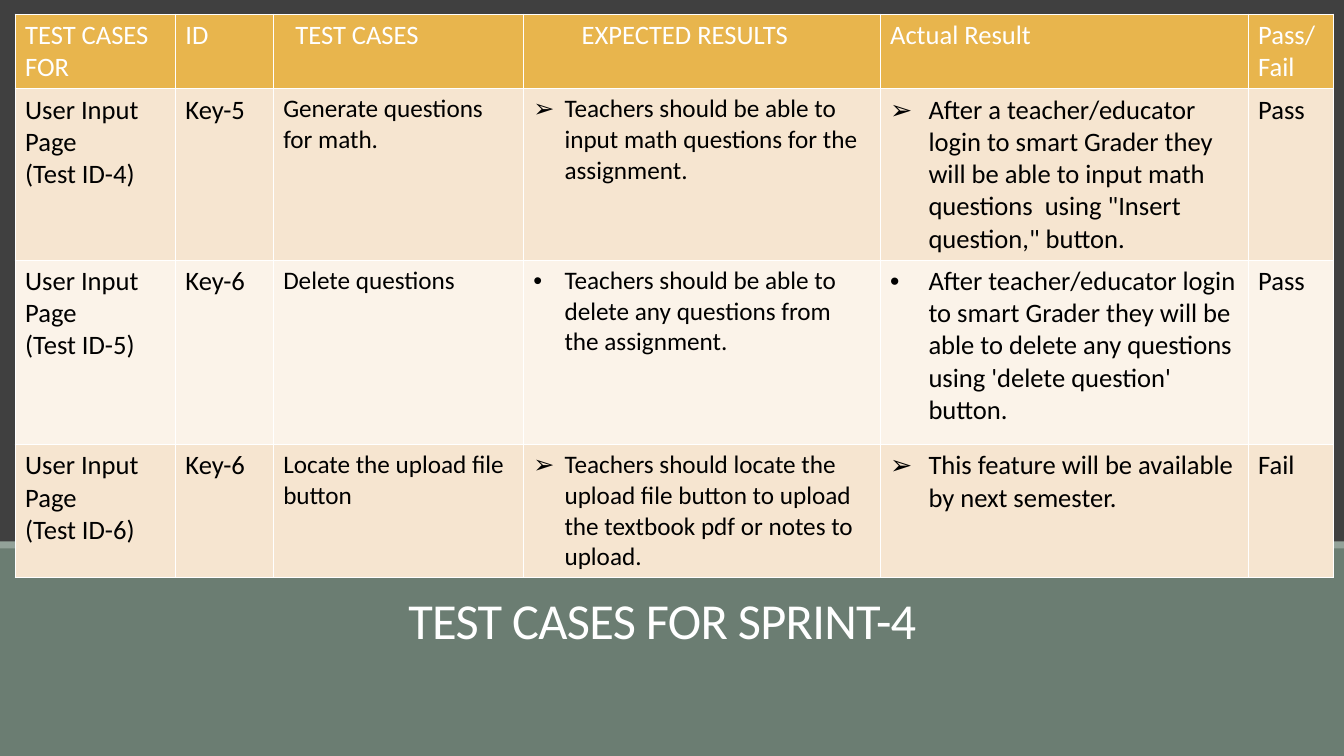
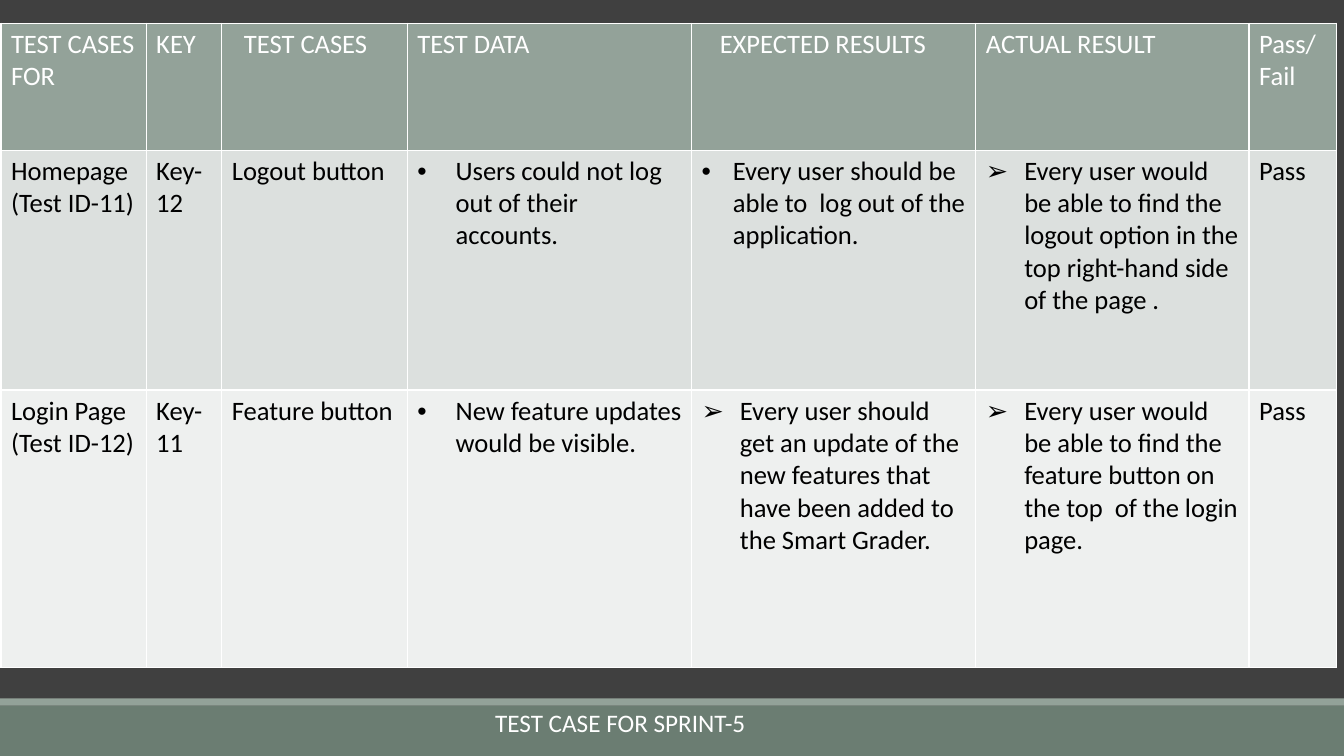
import dataclasses

import pptx
import pptx.dml.color
import pptx.enum.shapes
import pptx.enum.text
import pptx.oxml.ns
import pptx.util
from lxml import etree

Inches = pptx.util.Inches
Pt = pptx.util.Pt

WIDTH, HEIGHT = 13.33, 7.5
FONT = "Calibri"
TEXT_SIZE, SMALL_SIZE = 19, 18
STRIP_HEIGHT = 0.07
ARROW, DOT = "➢", "•"

COLORS = {
    "dark": "404040",
    "panel": "6B7D72",
    "sage": "93A299",
    "sage_mid": "DCE0DE",
    "sage_pale": "EEF0EF",
    "gold": "E8B54D",
    "gold_mid": "F6E5D0",
    "gold_pale": "FBF3E9",
    "white": "FFFFFF",
    "black": "000000",
}


@dataclasses.dataclass
class Entry:
    """Cell text with an optional bullet mark; indent is in inches."""
    text: str
    mark: str = ""
    indent: float = 0.38


@dataclasses.dataclass
class TestTable:
    left: float
    top: float
    columns: list
    row_heights: list
    header_fill: str
    band_fills: tuple
    rows: list
    small_columns: tuple = ()


SPRINT_4 = TestTable(
    left=0.15, top=0.14,
    columns=[1.59, 0.97, 2.48, 3.54, 3.65, 0.85],
    row_heights=[0.67, 1.67, 1.83, 1.2],
    header_fill="gold", band_fills=("gold_mid", "gold_pale"),
    small_columns=(2, 3),
    rows=[
        ["TEST CASES FOR", "ID", Entry("TEST CASES", indent=0.12),
         Entry("EXPECTED RESULTS", indent=0.48), "Actual Result", "Pass/Fail"],
        ["User Input\nPage\n(Test ID-4)", "Key-5", "Generate questions for math.",
         Entry("Teachers should be able to input math questions for the assignment.",
               ARROW, 0.31),
         Entry("After a teacher/educator login to smart Grader they will be able to "
               "input math questions  using \"Insert question,\" button.", ARROW),
         "Pass"],
        ["User Input\nPage\n(Test ID-5)", "Key-6", "Delete questions",
         Entry("Teachers should be able to delete any questions from the assignment.",
               DOT, 0.31),
         Entry("After teacher/educator login to smart Grader they will be able to "
               "delete any questions  using 'delete question' button.", DOT),
         "Pass"],
        ["User Input\nPage\n(Test ID-6)", "Key-6", "Locate the upload file button",
         Entry("Teachers should locate the upload file button to upload the textbook "
               "pdf or notes to upload.", ARROW, 0.31),
         Entry("This feature will be available by next semester.", ARROW),
         "Fail"],
    ],
)

SPRINT_5 = TestTable(
    left=0.01, top=0.23,
    columns=[1.44, 0.75, 1.84, 2.82, 2.82, 2.71, 0.87],
    row_heights=[1.26, 2.38, 2.75],
    header_fill="sage", band_fills=("sage_mid", "sage_pale"),
    rows=[
        ["TEST CASES\nFOR", "KEY", Entry("TEST CASES", indent=0.12), "TEST DATA",
         Entry("EXPECTED RESULTS", indent=0.18), "ACTUAL RESULT", "Pass/Fail"],
        ["Homepage\n(Test ID-11)", "Key-12", "Logout button",
         Entry("Users could not log out of their accounts.", DOT),
         Entry("Every user should be able to  log out of the application.", DOT, 0.31),
         Entry("Every user would be able to find the logout option "
               "in the top right-hand side of the page .", ARROW),
         "Pass"],
        ["Login Page\n(Test ID-12)", "Key-11", "Feature button",
         Entry("New feature updates would be visible.", DOT),
         Entry("Every user should get an update of the new features "
               "that have been added to the Smart Grader.", ARROW),
         Entry("Every user would be able to find the feature button on the top "
               " of the login page.", ARROW),
         "Pass"],
    ],
)


def rgb(name):
    return pptx.dml.color.RGBColor.from_string(COLORS[name])


def add_band(slide, top, height, color):
    band = slide.shapes.add_shape(
        pptx.enum.shapes.MSO_SHAPE.RECTANGLE,
        0, Inches(top), Inches(WIDTH), Inches(height))
    band.shadow.inherit = False
    band.fill.solid()
    band.fill.fore_color.rgb = rgb(color)
    band.line.fill.background()
    return band


def add_footer_bands(slide, panel_top, strip_top):
    return [add_band(slide, panel_top, HEIGHT - panel_top, "panel"),
            add_band(slide, strip_top, STRIP_HEIGHT, "sage")]


def style_layout(layout, slide):
    """Give the layout its background and footer, drawn by way of a slide."""
    layout.background.fill.solid()
    layout.background.fill.fore_color.rgb = rgb("dark")
    for position, band in enumerate(add_footer_bands(slide, 7, 6.93), start=2):
        layout.shapes._spTree.insert(position, band._element)


def set_title(slide, text, box, size, anchor):
    """Fill the title placeholder and bring it in front of the bands."""
    title = slide.shapes.title
    title.left, title.top, title.width, title.height = map(Inches, box)
    frame = title.text_frame
    frame.text = text
    frame.word_wrap = True
    frame.auto_size = pptx.enum.text.MSO_AUTO_SIZE.NONE
    frame.vertical_anchor = anchor
    paragraph = frame.paragraphs[0]
    paragraph.alignment = pptx.enum.text.PP_ALIGN.LEFT
    style_font(paragraph, size, "white")
    slide.shapes._spTree.append(title._element)
    return paragraph


def style_font(paragraph, size, color):
    paragraph.font.name = FONT
    paragraph.font.size = Pt(size)
    paragraph.font.bold = False
    paragraph.font.color.rgb = rgb(color)


def add_xml(parent, tag, **attributes):
    return etree.SubElement(parent, pptx.oxml.ns.qn(tag), **attributes)


def add_borders(cell):
    properties = cell._tc.get_or_add_tcPr()
    for side in ("a:lnL", "a:lnR", "a:lnT", "a:lnB"):
        line = add_xml(properties, side, w=str(Pt(1)))
        add_xml(add_xml(line, "a:solidFill"), "a:srgbClr", val=COLORS["white"])


def indent_paragraph(paragraph, entry):
    properties = paragraph._p.get_or_add_pPr()
    properties.set("marL", str(Inches(entry.indent)))
    if entry.mark:
        properties.set("indent", str(-Inches(entry.indent)))
        add_xml(properties, "a:buFont", typeface="Arial")
        add_xml(properties, "a:buChar", char=entry.mark)


def fill_cell(cell, content, fill, size, color):
    entry = content if isinstance(content, Entry) else Entry(content, indent=0)
    add_borders(cell)
    cell.fill.solid()
    cell.fill.fore_color.rgb = rgb(fill)
    cell.text = entry.text
    for paragraph in cell.text_frame.paragraphs:
        indent_paragraph(paragraph, entry)
        style_font(paragraph, size, color)


def add_test_table(slide, plan):
    table = slide.shapes.add_table(
        len(plan.rows), len(plan.columns), Inches(plan.left), Inches(plan.top),
        Inches(sum(plan.columns)), Inches(sum(plan.row_heights))).table
    table.first_row = table.horz_banding = False
    for column, width in zip(table.columns, plan.columns):
        column.width = Inches(width)
    for row, height in zip(table.rows, plan.row_heights):
        row.height = Inches(height)
    for r, contents in enumerate(plan.rows):
        is_header = r == 0
        fill = plan.header_fill if is_header else plan.band_fills[(r - 1) % 2]
        color = "white" if is_header else "black"
        for c, content in enumerate(contents):
            is_small = not is_header and c in plan.small_columns
            size = SMALL_SIZE if is_small else TEXT_SIZE
            fill_cell(table.cell(r, c), content, fill, size, color)


def build_sprint_4(slide):
    add_band(slide, 0, 5.36, "dark")
    add_footer_bands(slide, 5.42, 5.37)
    heading = set_title(slide, "TEST CASES FOR SPRINT-4", (3.95, 5.6, 8.22, 0.9),
                        36, pptx.enum.text.MSO_ANCHOR.BOTTOM)
    heading.line_spacing = 0.85
    heading.space_after = Pt(6)
    heading.runs[0]._r.get_or_add_rPr().set("spc", "-50")
    add_test_table(slide, SPRINT_4)


def build_sprint_5(slide):
    add_test_table(slide, SPRINT_5)
    set_title(slide, "TEST CASE FOR SPRINT-5", (4.81, 6.97, 3, 0.4),
              18, pptx.enum.text.MSO_ANCHOR.TOP)


def main():
    deck = pptx.Presentation()
    deck.slide_width, deck.slide_height = Inches(WIDTH), Inches(HEIGHT)
    title_only = deck.slide_layouts[5]
    sprint_4, sprint_5 = (deck.slides.add_slide(title_only) for _ in range(2))
    style_layout(title_only, sprint_4)
    build_sprint_4(sprint_4)
    build_sprint_5(sprint_5)
    deck.save("out.pptx")


if __name__ == "__main__":
    main()
